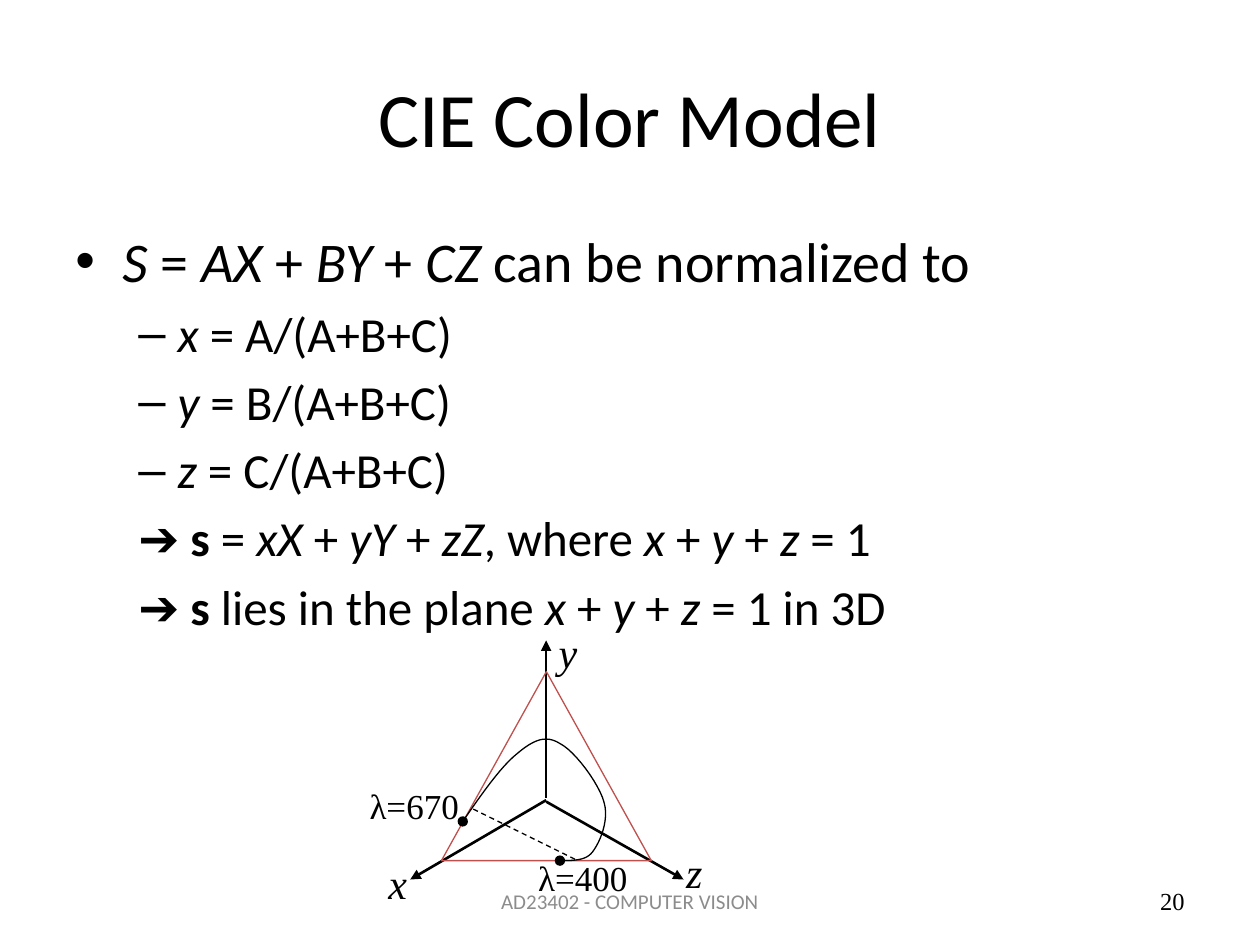
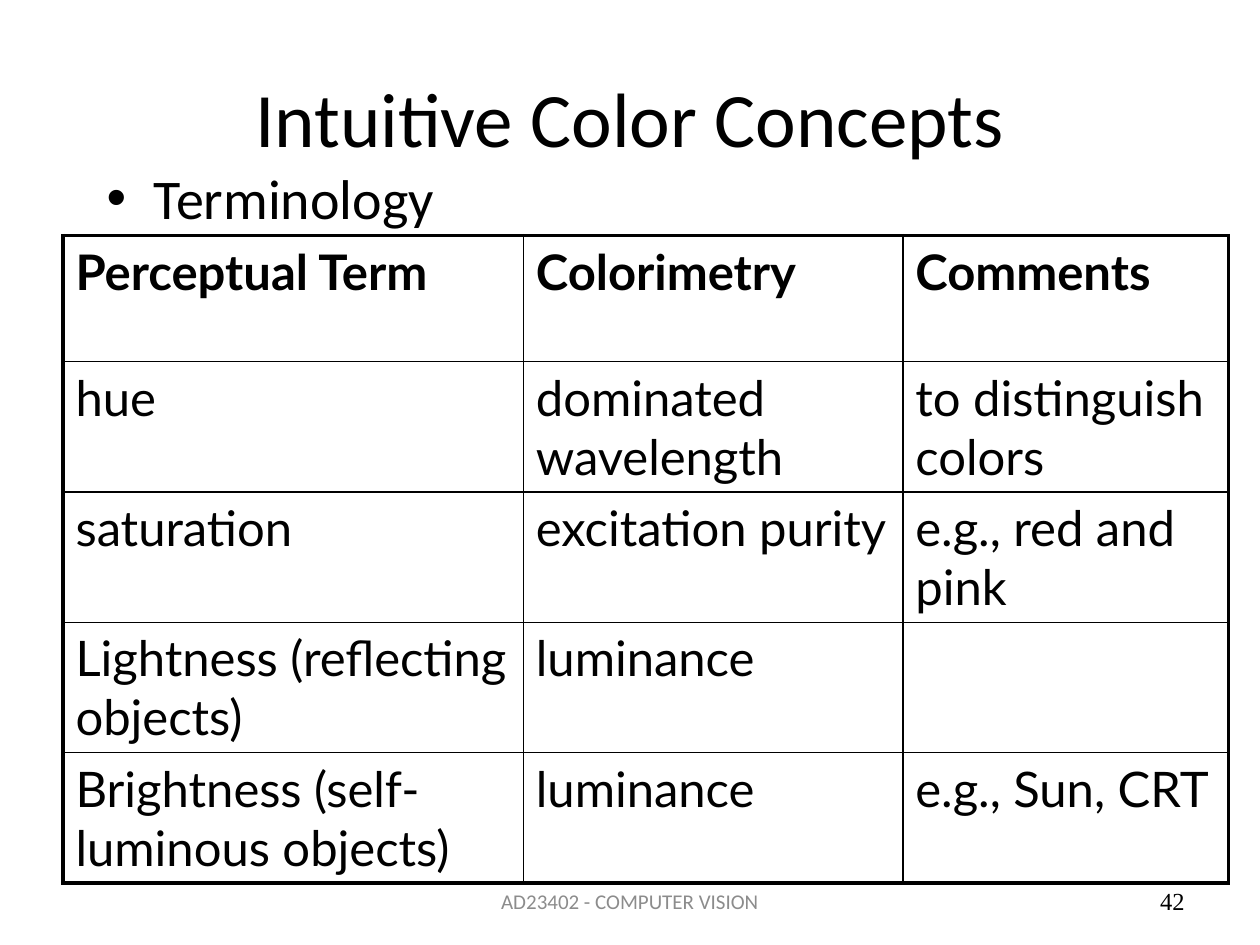
from lxml import etree
from pptx import Presentation
from pptx import util as u
from pptx.dml import color
from pptx.enum import dml, shapes, text
from pptx.oxml import ns

COLOURS = {"ink": "000000", "triangle": "C0504D", "footer": "8C8C8C"}
BODY_FONT, LABEL_FONT, TABLE_FONT = "Calibri", "Times New Roman", "Lato"
FOOTER = "AD23402 - COMPUTER VISION"
BULLETS = {0: (0.95, -0.95, "•", 32), 1: (2.06, -0.79, "–", 28)}
THICK, THIN = 2.25, 1

FORMULAS = [
    (0, "_S_ = _AX_ + _BY_ + _CZ_ can be normalized to"),
    (1, "_x_ = A/(A+B+C)"),
    (1, "_y_ = B/(A+B+C)"),
    (1, "_z_ = C/(A+B+C)"),
    (1, "➔ _*s _= _xX_ + _yY_ + _zZ_, where _x_ + _y_ + _z_ = 1"),
    (1, "➔ _*s_ lies in the plane _x_ + _y_ + _z_ = 1 in 3D"),
]
TERMS = [
    ("Perceptual Term", "Colorimetry", "Comments"),
    ("hue", "dominated wavelength", "to distinguish colors"),
    ("saturation", "excitation purity", "e.g., red and pink"),
    ("Lightness (reflecting objects)", "luminance", ""),
    ("Brightness (self-luminous objects)", "luminance", "e.g., Sun, CRT"),
]
AXES = [
    ((3.81, 3.58), (3.81, 0.41)),
    ((3.81, 3.66), (6.58, 5.23)),
    ((3.81, 3.63), (1.07, 5.23)),
]
AXIS_LABELS = [("x", 0.38, 4.67), ("z", 6.38, 4.45), ("y", 3.81, 0)]
WAVELENGTH_LABELS = [("λ=400", 3.4, 4.65), ("λ=670", 0, 3.18)]
LOCUS_START = (2.13, 4.06)
LOCUS_CURVES = [
    ((2.51, 3.51), (2.9, 2.95), (3.23, 2.69)),
    ((3.56, 2.41), (3.81, 2.31), (4.09, 2.49)),
    ((4.39, 2.64), (4.88, 3.3), (4.98, 3.68)),
    ((5.08, 4.04), (4.9, 4.47), (4.75, 4.67)),
    ((4.62, 4.85), (4.37, 4.85), (4.09, 4.85)),
]


def rgb(name):
    """Return the named colour."""
    return color.RGBColor.from_string(COLOURS[name])


def add_run(paragraph, content, size, font=BODY_FONT, colour="ink", bold=False, italic=False):
    """Append one formatted run."""
    run = paragraph.add_run()
    run.text = content
    run.font.name, run.font.size = font, u.Pt(size)
    run.font.bold, run.font.italic = bold, italic
    run.font.color.rgb = rgb(colour)


def add_marked_runs(paragraph, content, size):
    """Append runs, with text between underscores italic, or bold after a star."""
    for index, chunk in enumerate(content.split("_")):
        bold = chunk.startswith("*")
        if chunk:
            add_run(paragraph, chunk.lstrip("*"), size, bold=bold,
                    italic=index % 2 == 1 and not bold)


def add_box(slide, box, wrap=True, anchor=text.MSO_ANCHOR.TOP):
    """Add an empty text box and return its frame."""
    frame = slide.shapes.add_textbox(*map(u.Cm, box)).text_frame
    frame.word_wrap, frame.vertical_anchor = wrap, anchor
    return frame


def add_line_of_text(slide, box, content, size, alignment, **style):
    """Add one vertically centred line of text."""
    paragraph = add_box(slide, box, anchor=text.MSO_ANCHOR.MIDDLE).paragraphs[0]
    paragraph.alignment = alignment
    add_run(paragraph, content, size, **style)


def add_bullets(slide, box, items):
    """Add a list of levelled, marked-up items."""
    frame = add_box(slide, box)
    for index, (level, content) in enumerate(items):
        paragraph = frame.add_paragraph() if index else frame.paragraphs[0]
        margin, indent, character, size = BULLETS[level]
        paragraph.level = level
        properties = paragraph._p.get_or_add_pPr()
        properties.set("marL", str(u.Cm(margin)))
        properties.set("indent", str(u.Cm(indent)))
        if content.startswith("➔"):
            etree.SubElement(properties, ns.qn("a:buNone"))
        else:
            etree.SubElement(properties, ns.qn("a:buFont"), typeface="Arial")
            etree.SubElement(properties, ns.qn("a:buChar"), char=character)
        if index:
            paragraph.space_before = u.Pt(size * 0.19)
        add_marked_runs(paragraph, content, size)


def style_line(shape, width, colour="ink", dash=None, **ends):
    """Set the outline, dash and arrowheads, and remove the shadow."""
    shape.line.color.rgb, shape.line.width = rgb(colour), u.Pt(width)
    if dash:
        shape.line.dash_style = dash
    properties = shape._element.spPr
    for end, kind in ends.items():
        etree.SubElement(properties.find(ns.qn("a:ln")), ns.qn(f"a:{end}"), type=kind)
    etree.SubElement(properties, ns.qn("a:effectLst"))


def bezier_points(start, curves, steps=12):
    """Return points along a chain of cubic curves."""
    points = []
    for first, second, end in curves:
        for step in range(1, steps + 1):
            t = step / steps
            weights = ((1 - t) ** 3, 3 * t * (1 - t) ** 2, 3 * t * t * (1 - t), t ** 3)
            points.append(tuple(
                sum(weight * value for weight, value in zip(weights, values))
                for values in zip(start, first, second, end)))
        start = end
    return points


def add_colour_space(slide, left, top):
    """Draw the axes, the plane and the spectral locus from a top left corner."""
    def place(point):
        return u.Cm(left + point[0]), u.Cm(top + point[1])

    def connect(start, end):
        return slide.shapes.add_connector(
            shapes.MSO_CONNECTOR.STRAIGHT, *place(start), *place(end))

    for start, end in AXES:
        style_line(connect(start, end), 1.5, tailEnd="triangle")

    plane = slide.shapes.add_shape(
        shapes.MSO_SHAPE.ISOSCELES_TRIANGLE, *place((1.7, 1.04)), u.Cm(4.23), u.Cm(3.81))
    plane.fill.background()
    style_line(plane, 0.75, "triangle")

    builder = slide.shapes.build_freeform(*place(LOCUS_START))
    builder.add_line_segments(
        [place(point) for point in bezier_points(LOCUS_START, LOCUS_CURVES)], close=False)
    locus = builder.convert_to_shape()
    locus.fill.background()
    style_line(locus, 0.75, headEnd="oval", tailEnd="oval")

    for labels, width, height, size in ((WAVELENGTH_LABELS, 2.36, 1.09, 20),
                                        (AXIS_LABELS, 0.88, 1.27, 24)):
        for content, x, y in labels:
            frame = add_box(slide, (left + x, top + y, width, height), wrap=False)
            add_run(frame.paragraphs[0], content, size, LABEL_FONT,
                    italic=labels is AXIS_LABELS)

    style_line(connect((2.34, 3.81), (4.45, 4.85)), 0.75, dash=dml.MSO_LINE.DASH)


def set_borders(cell, widths):
    """Give a cell its left, right, top and bottom borders."""
    properties = cell._tc.get_or_add_tcPr()
    for index, (side, width) in enumerate(zip("LRTB", widths)):
        border = etree.Element(ns.qn(f"a:ln{side}"), w=str(u.Pt(width)))
        fill = etree.SubElement(border, ns.qn("a:solidFill"))
        etree.SubElement(fill, ns.qn("a:srgbClr"), val=COLOURS["ink"])
        properties.insert(index, border)


def add_terms_table(slide, left, top, column_widths, row_heights):
    """Add the terminology table with a thick frame and thin inner rules."""
    rows, columns = len(row_heights), len(column_widths)
    table = slide.shapes.add_table(
        rows, columns, u.Cm(left), u.Cm(top),
        u.Cm(sum(column_widths)), u.Cm(sum(row_heights))).table
    table.first_row = table.horz_banding = False
    for column, width in zip(table.columns, column_widths):
        column.width = u.Cm(width)
    for i, (row, height) in enumerate(zip(table.rows, row_heights)):
        row.height = u.Cm(height)
        for j, cell in enumerate(row.cells):
            cell.fill.background()
            outer = (j == 0, j == columns - 1, i == 0, i == rows - 1)
            set_borders(cell, [THICK if edge else THIN for edge in outer])
            if TERMS[i][j]:
                add_run(cell.text_frame.paragraphs[0], TERMS[i][j], 28, TABLE_FONT,
                        bold=i == 0)


def add_base_slide(presentation, title, number):
    """Add a blank slide with title, footer and page number."""
    slide = presentation.slides.add_slide(presentation.slide_layouts[6])
    add_line_of_text(slide, (18.21, 17.65, 5.92, 1.02), number, 14,
                     text.PP_ALIGN.RIGHT, font=LABEL_FONT)
    add_line_of_text(slide, (1.27, 0.76, 22.86, 3.18), title, 44, text.PP_ALIGN.CENTER)
    add_line_of_text(slide, (8.68, 17.65, 8.04, 1.02), FOOTER, 12,
                     text.PP_ALIGN.CENTER, colour="footer")
    return slide


def build_cie_slide(presentation):
    """Build the slide on the CIE colour model."""
    slide = add_base_slide(presentation, "CIE Color Model", "20")
    add_bullets(slide, (1.27, 4.45, 22.86, 12.57), FORMULAS)
    add_colour_space(slide, 7.2, 12.5)


def build_concepts_slide(presentation):
    """Build the slide on colour terminology."""
    slide = add_base_slide(presentation, "Intuitive Color Concepts", "42")
    add_bullets(slide, (1.9, 3.18, 21.6, 12.9), [(0, "Terminology")])
    add_terms_table(slide, 1.27, 4.75, (9.28, 7.65, 6.56), [2.54] + [2.62] * 4)


def main():
    """Build and save the presentation."""
    presentation = Presentation()
    presentation.slide_width, presentation.slide_height = u.Cm(25.4), u.Cm(19.05)
    build_cie_slide(presentation)
    build_concepts_slide(presentation)
    presentation.save("out.pptx")


if __name__ == "__main__":
    main()
